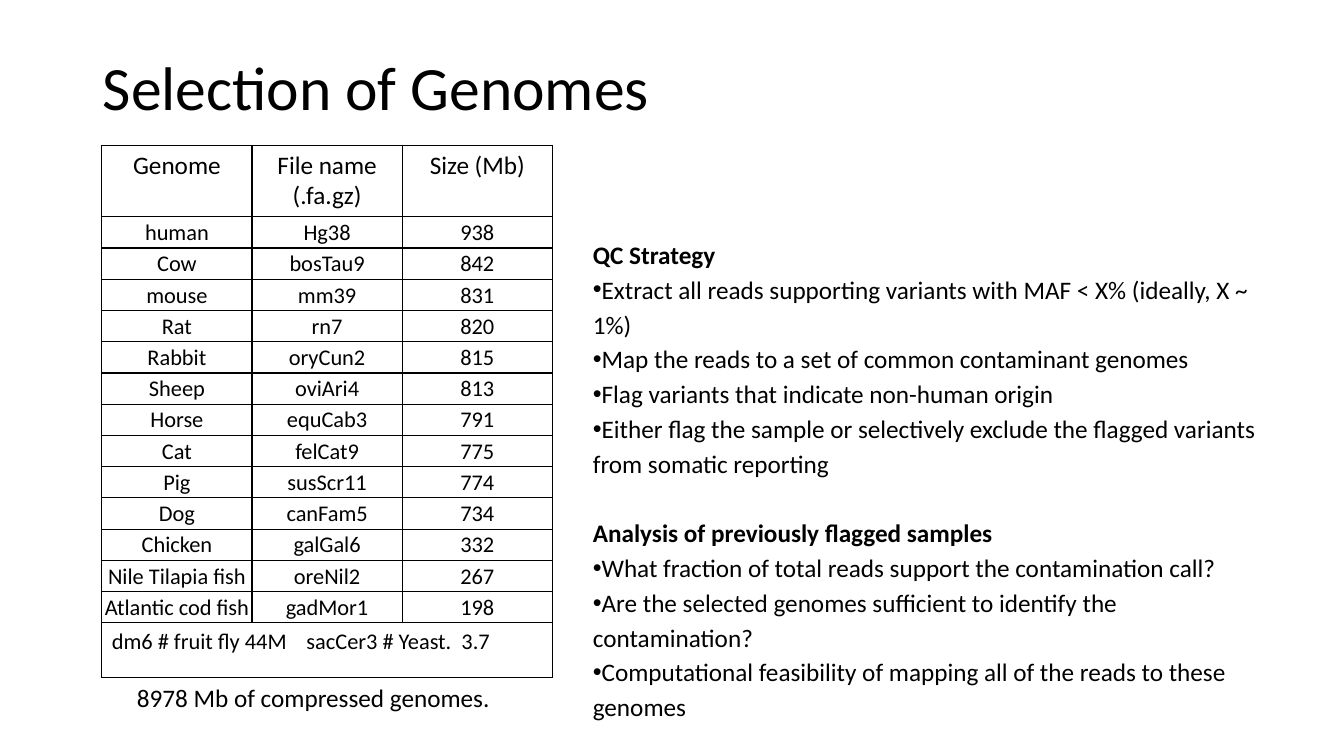
from dataclasses import dataclass

from lxml import etree
from pptx import Presentation
from pptx.dml.color import RGBColor
from pptx.enum import text as t
from pptx.oxml import ns
from pptx.util import Inches, Pt


@dataclass(frozen=True)
class Theme:
    font: str = "Calibri"
    ink: RGBColor = RGBColor(0, 0, 0)
    paper: RGBColor = RGBColor(255, 255, 255)
    title: int = 44
    body: int = 18
    cell: int = 16
    border: float = 1


THEME = Theme()

HEADINGS = ("Genome", "File name (.fa.gz)", "Size (Mb)")
GENOMES = (
    ("human", "Hg38", 938),
    ("Cow", "bosTau9", 842),
    ("mouse", "mm39", 831),
    ("Rat", "rn7", 820),
    ("Rabbit", "oryCun2", 815),
    ("Sheep", "oviAri4", 813),
    ("Horse", "equCab3", 791),
    ("Cat", "felCat9", 775),
    ("Pig", "susScr11", 774),
    ("Dog", "canFam5", 734),
    ("Chicken", "galGal6", 332),
    ("Nile Tilapia fish", "oreNil2", 267),
    ("Atlantic cod fish", "gadMor1", 198),
)
SMALL_GENOMES = ("dm6 # fruit fly 44M", "sacCer3 # Yeast.  3.7")
TOPICS = (
    ("QC Strategy", (
        "Extract all reads supporting variants with MAF < X% (ideally, X ~ 1%)",
        "Map the reads to a set of common contaminant genomes",
        "Flag variants that indicate non-human origin",
        "Either flag the sample or selectively exclude the flagged variants "
        "from somatic reporting",
    )),
    ("Analysis of previously flagged samples", (
        "What fraction of total reads support the contamination call?",
        "Are the selected genomes sufficient to identify the contamination?",
        "Computational feasibility of mapping all of the reads to these genomes",
    )),
)


def place(shape, box):
    shape.left, shape.top, shape.width, shape.height = map(Inches, box)


def add_span(para, words, size, bold=False):
    span = para.add_run()
    span.text = words
    span.font.name = THEME.font
    span.font.size = Pt(size)
    span.font.bold = bold
    span.font.color.rgb = THEME.ink


def set_bullet(para, shown):
    """Turn the bullet on or off, flush with the left edge."""
    props = para._p.get_or_add_pPr()
    props.set("marL", "0")
    props.set("indent", "0")
    if shown:
        etree.SubElement(props, ns.qn("a:buChar"), char="•")
    else:
        etree.SubElement(props, ns.qn("a:buNone"))


def add_tab_stop(para, position):
    stops = etree.SubElement(para._p.get_or_add_pPr(), ns.qn("a:tabLst"))
    etree.SubElement(stops, ns.qn("a:tab"), pos=str(Inches(position)), algn="l")


def style_cell(cell):
    """Fill the cell plainly and rule all four sides."""
    cell.fill.solid()
    cell.fill.fore_color.rgb = THEME.paper
    props = cell._tc.get_or_add_tcPr()
    for place_in_order, side in enumerate(("lnL", "lnR", "lnT", "lnB")):
        line = etree.Element(ns.qn(f"a:{side}"), w=str(Pt(THEME.border)))
        fill = etree.SubElement(line, ns.qn("a:solidFill"))
        etree.SubElement(fill, ns.qn("a:srgbClr"), val=str(THEME.ink))
        props.insert(place_in_order, line)


def fill_title(page, box):
    title = page.shapes.title
    place(title, box)
    frame = title.text_frame
    frame.auto_size = t.MSO_AUTO_SIZE.NONE
    frame.vertical_anchor = t.MSO_ANCHOR.MIDDLE
    para = frame.paragraphs[0]
    para.alignment = t.PP_ALIGN.LEFT
    para.line_spacing = 0.9
    add_span(para, "Selection of Genomes", THEME.title)


def fill_topics(page, box):
    body = page.placeholders[1]
    place(body, box)
    frame = body.text_frame
    frame.auto_size = t.MSO_AUTO_SIZE.NONE
    frame.vertical_anchor = t.MSO_ANCHOR.TOP
    frame.margin_top = frame.margin_bottom = Inches(0.1)
    for number, (heading, points) in enumerate(TOPICS):
        for index, words in enumerate((heading, *points)):
            is_heading = index == 0
            first = number == 0 and is_heading
            para = frame.paragraphs[0] if first else frame.add_paragraph()
            para.line_spacing = 1.15
            para.space_before = Pt(25 if is_heading and not first else 0)
            set_bullet(para, not is_heading)
            add_span(para, words, THEME.body, bold=is_heading)


def add_genome_table(page, box):
    left, top, width, height = box
    head_height, foot_height = 0.71, 0.54
    row_height = (height - head_height - foot_height) / len(GENOMES)
    rows = (HEADINGS, *GENOMES)
    table = page.shapes.add_table(
        len(rows) + 1, len(HEADINGS), *map(Inches, box)).table
    table.first_row = table.horz_banding = False
    for column in table.columns:
        column.width = Inches(width / len(HEADINGS))
    for row in table.rows:
        row.height = Inches(row_height)
        for cell in row.cells:
            style_cell(cell)
    table.rows[0].height = Inches(head_height)
    foot_row = len(rows)
    table.rows[foot_row].height = Inches(foot_height)

    for row_index, values in enumerate(rows):
        for column_index, value in enumerate(values):
            cell = table.cell(row_index, column_index)
            if row_index:
                cell.margin_left = cell.margin_right = Inches(0.01)
                cell.margin_top, cell.margin_bottom = Inches(0.01), 0
                cell.vertical_anchor = t.MSO_ANCHOR.MIDDLE
            para = cell.text_frame.paragraphs[0]
            para.alignment = t.PP_ALIGN.CENTER
            add_span(para, str(value), THEME.cell if row_index else THEME.body)

    foot = table.cell(foot_row, 0)
    foot.merge(table.cell(foot_row, len(HEADINGS) - 1))
    para = foot.text_frame.paragraphs[0]
    add_tab_stop(para, 1.93)
    add_span(para, "\t".join(SMALL_GENOMES), THEME.cell)


def add_caption(page, box):
    frame = page.shapes.add_textbox(*map(Inches, box)).text_frame
    frame.word_wrap = True
    add_span(frame.paragraphs[0], "8978 Mb of compressed genomes.", THEME.body)


def main():
    deck = Presentation()
    deck.slide_width, deck.slide_height = Inches(13.33), Inches(7.5)
    page = deck.slides.add_slide(deck.slide_layouts[1])
    fill_title(page, (0.92, 0.17, 11.5, 1.45))
    add_genome_table(page, (1.01, 1.44, 4.47, 5.28))
    add_caption(page, (1.26, 6.72, 3.74, 0.71))
    fill_topics(page, (5.78, 2.23, 7.02, 5.1))
    deck.save("out.pptx")


if __name__ == "__main__":
    main()
